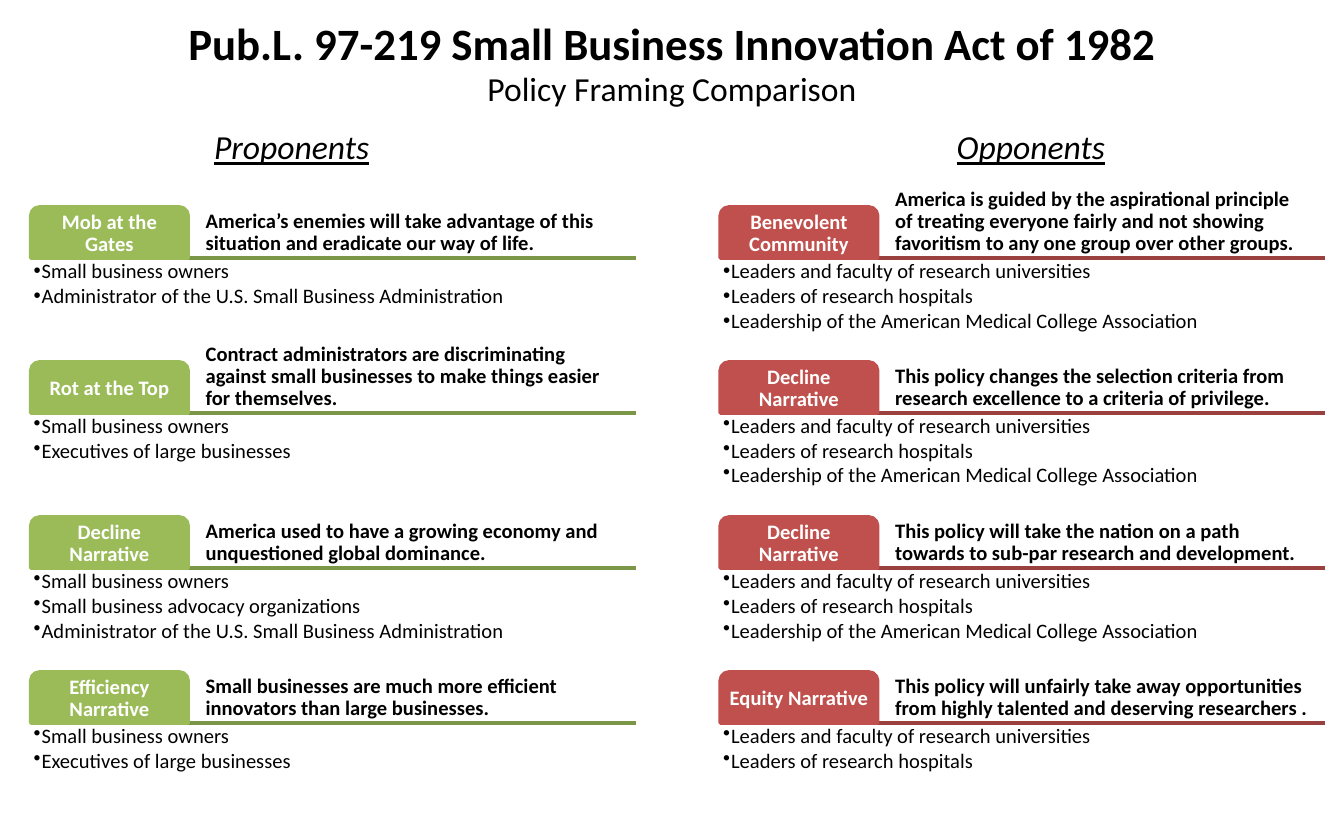
import pptx
import pptx.util
import pptx.dml.color
import pptx.enum.shapes
import pptx.enum.text
import pptx.oxml.ns
import lxml.etree
from dataclasses import dataclass

Inches = pptx.util.Inches
Pt = pptx.util.Pt
Color = pptx.dml.color.RGBColor.from_string
Align = pptx.enum.text.PP_ALIGN
Anchor = pptx.enum.text.MSO_ANCHOR
qn = pptx.oxml.ns.qn


@dataclass(frozen=True)
class Theme:
    font: str = "Calibri"
    ink: str = "000000"
    paper: str = "FFFFFF"
    green: str = "9BBB59"
    dark_green: str = "7C9647"
    red: str = "C0504D"
    dark_red: str = "9A403E"
    title: int = 24
    heading: int = 18
    body: int = 11
    rule: int = 2


class Board:
    def __init__(self, slide, theme):
        self.slide = slide
        self.theme = theme

    def apply(self, target, values):
        for name, value in values.items():
            setattr(target, name, value)

    def fill_text(self, shape, lines, size, color=None, inset=(0.1, 0.05), anchor=Anchor.TOP,
                  paragraph_format=None, **font_format):
        frame = shape.text_frame
        across, down = map(Inches, inset)
        self.apply(frame, dict(
            word_wrap=True, auto_size=pptx.enum.text.MSO_AUTO_SIZE.NONE, vertical_anchor=anchor,
            margin_left=across, margin_right=across, margin_top=down, margin_bottom=down))
        for index, line in enumerate(lines):
            paragraph = frame.add_paragraph() if index else frame.paragraphs[0]
            self.apply(paragraph, dict(alignment=Align.CENTER, space_before=Pt(0), space_after=Pt(0))
                       | (paragraph_format or {}))
            run = paragraph.add_run()
            run.text = line
            run.font.color.rgb = Color(color or self.theme.ink)
            self.apply(run.font, dict(name=self.theme.font, size=Pt(size), bold=False) | font_format)

    def place(self, box, holder=None):
        if holder is None:
            return self.slide.shapes.add_textbox(*map(Inches, box))
        shape = self.slide.placeholders[holder]
        self.apply(shape, dict(zip(("left", "top", "width", "height"), map(Inches, box))))
        return shape

    def heading(self, text, box, holder=None, size=None, **font_format):
        self.fill_text(self.place(box, holder), [text], size or self.theme.heading, **font_format)

    def rule(self, left, top, width, color):
        rule = self.slide.shapes.add_connector(
            pptx.enum.shapes.MSO_CONNECTOR.STRAIGHT,
            *map(Inches, (left, top, left + width, top)))
        rule.line.color.rgb = Color(color)
        rule.line.width = Pt(self.theme.rule)
        lxml.etree.SubElement(rule.element.spPr, qn("a:effectLst"))

    def tab(self, text, box, color):
        tab = self.slide.shapes.add_shape(
            pptx.enum.shapes.MSO_SHAPE.ROUND_2_SAME_RECTANGLE, *map(Inches, box))
        tab.shadow.inherit = False
        tab.adjustments[0] = 0.17
        tab.adjustments[1] = 0
        tab.fill.solid()
        tab.fill.fore_color.rgb = tab.line.color.rgb = Color(color)
        tab.line.width = Pt(self.theme.rule)
        self.fill_text(tab, [text], self.theme.body, self.theme.paper, (0.02, 0.02), Anchor.MIDDLE,
                       dict(line_spacing=0.9), bold=True)

    def claim(self, text, box):
        self.fill_text(self.place(box), [text], self.theme.body, inset=(0.02, 0.02),
                       anchor=Anchor.BOTTOM,
                       paragraph_format=dict(line_spacing=0.9, alignment=Align.LEFT), bold=True)

    def bullets(self, lines, box, holder=None):
        shape = self.place(box, holder)
        self.fill_text(shape, lines, self.theme.body, inset=(0.02, 0.02), paragraph_format=dict(
            line_spacing=0.9, space_after=Pt(1.4), alignment=Align.LEFT, level=1))
        for paragraph in shape.text_frame.paragraphs:
            properties = paragraph._p.get_or_add_pPr()
            properties.set("marL", str(Inches(0.06)))
            properties.set("indent", str(Inches(-0.06)))
            lxml.etree.SubElement(properties, qn("a:buChar")).set("char", "•")


OWNERS = "Small business owners"
ADMINISTRATOR = "Administrator of the U.S. Small Business Administration"
EXECUTIVES = "Executives of large businesses"
ADVOCATES = "Small business advocacy organizations"
RESEARCH_LEADERS = ["Leaders and faculty of research universities", "Leaders of research hospitals"]
ALL_LEADERS = RESEARCH_LEADERS + ["Leadership of the American Medical College Association"]

PROPONENTS = [
    ("Mob at the Gates",
     "America’s enemies will take advantage of this situation and eradicate our way of life.",
     [OWNERS, ADMINISTRATOR]),
    ("Rot at the Top",
     "Contract administrators are discriminating against small businesses to make things easier "
     "for themselves.",
     [OWNERS, EXECUTIVES]),
    ("Decline Narrative",
     "America used to have a growing economy and unquestioned global dominance.",
     [OWNERS, ADVOCATES, ADMINISTRATOR]),
    ("Efficiency Narrative",
     "Small businesses are much more efficient innovators than large businesses.",
     [OWNERS, EXECUTIVES]),
]
OPPONENTS = [
    ("Benevolent Community",
     "America is guided by the aspirational principle of treating everyone fairly and not showing "
     "favoritism to any one group over other groups.",
     ALL_LEADERS),
    ("Decline Narrative",
     "This policy changes the selection criteria from research excellence to a criteria of "
     "privilege.",
     ALL_LEADERS),
    ("Decline Narrative",
     "This policy will take the nation on a path towards to sub-par research and development.",
     ALL_LEADERS),
    ("Equity Narrative",
     "This policy will unfairly take away opportunities from highly talented and deserving "
     "researchers .",
     RESEARCH_LEADERS),
]

theme = Theme()
presentation = pptx.Presentation()
presentation.slide_width = Inches(10)
presentation.slide_height = Inches(6.25)
comparison = presentation.slide_layouts.get_by_name("Comparison")
board = Board(presentation.slides.add_slide(comparison), theme)

board.heading("Pub.L. 97-219 Small Business Innovation Act of 1982", (1, 0.07, 8, 0.5),
              holder=0, size=theme.title, bold=True)
board.heading("Policy Framing Comparison", (2.79, 0.46, 4.42, 0.4))

FIRST_TOP, LAST_TOP, TAB_HEIGHT, WIDTH = 1.54, 5, 0.38, 4.5
sides = [
    ("Proponents", 1.17, 0.23, PROPONENTS, theme.green, theme.dark_green, 1, 2),
    ("Opponents", 6.67, 5.36, OPPONENTS, theme.red, theme.dark_red, 3, 4),
]
for side, side_left, left, narratives, fill, edge, side_holder, list_holder in sides:
    board.heading(side, (side_left, 0.89, 2, 0.4), side_holder, italic=True, underline=True)
    pitch = (LAST_TOP - FIRST_TOP) / (len(narratives) - 1)
    for row, (narrative, claim, groups) in enumerate(narratives):
        top = FIRST_TOP + row * pitch
        base = top + TAB_HEIGHT
        board.rule(left, base, WIDTH, edge)
        board.claim(claim, (left + 1.28, top, 3.12, TAB_HEIGHT))
        board.tab(narrative, (left, top, 1.17, TAB_HEIGHT), fill)
        board.bullets(groups, (left, base, WIDTH, 0.76), None if row else list_holder)

presentation.save("out.pptx")
